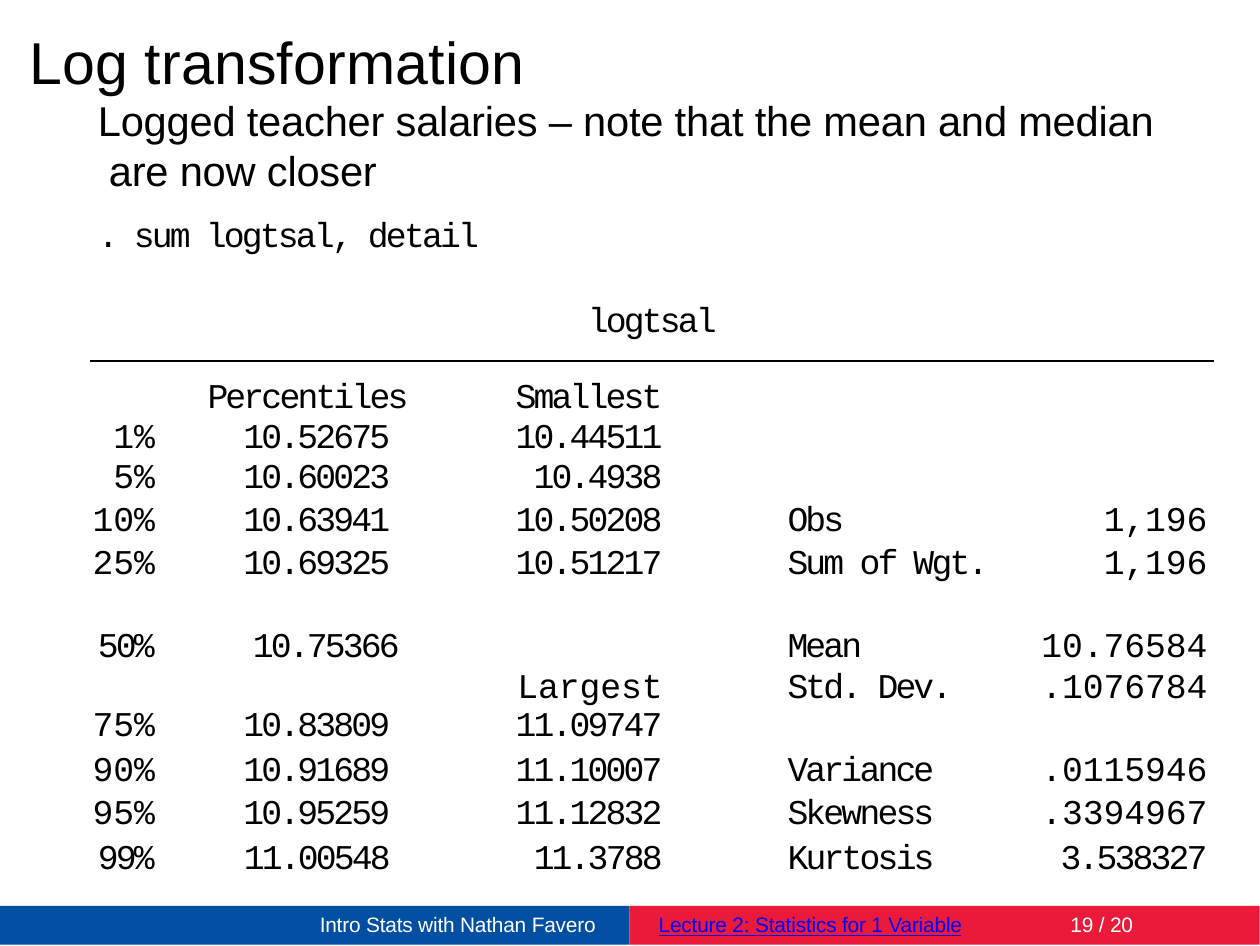
from dataclasses import dataclass
from typing import Any

from lxml.etree import SubElement
from pptx import Presentation
from pptx.dml.color import RGBColor
from pptx.enum.shapes import MSO_SHAPE
from pptx.enum.text import MSO_ANCHOR, MSO_AUTO_SIZE, PP_ALIGN
from pptx.oxml import parse_xml
from pptx.oxml.ns import nsdecls, qn
from pptx.util import Emu, Pt

EMU_PER_PX = 914400 / 250
PAGE_SIZE = {"slide_width": Pt(363), "slide_height": Pt(272.5)}
SANS, MONO = "Arial", "Courier New"
BLACK, WHITE, LINK = "000000", "FFFFFF", "0000FF"
BLUE, RED = "004FA2", "EC1A3A"
NO_TABLE_STYLE = "{2D5ABB26-0587-4C30-8999-92F81FD0307C}"


@dataclass(frozen=True)
class Style:
    size: float = 10
    font: str = MONO
    color: str = BLACK
    tracking: float = -0.8
    align: Any = PP_ALIGN.LEFT
    left: int = 0
    right: int = 0
    hanging: int | None = None
    before: float = 0
    underline: bool = False


@dataclass(frozen=True)
class Row:
    height: int
    leading: float
    texts: tuple[str, ...]
    merged: tuple[int, int] | None = None
    inset: int = 0
    before: float = 0


@dataclass(frozen=True)
class Label:
    text: str
    x: int
    y: int
    width: int
    height: int
    inset: int
    style: Style


@dataclass(frozen=True)
class Bar:
    x: int
    color: str


def px(value: float) -> Emu:
    return Emu(round(value * EMU_PER_PX))


def rgb(code: str) -> RGBColor:
    return RGBColor.from_string(code)


def apply(target: Any, values: dict[str, Any]) -> None:
    for name, value in values.items():
        setattr(target, name, value)


def write(para: Any, text: str, style: Style, before: float | None = None) -> None:
    apply(para, {"alignment": style.align,
                 "space_before": Pt(style.before if before is None else before)})
    margins = para._p.get_or_add_pPr()
    for name, value in {"marL": style.left, "marR": style.right}.items():
        if value:
            margins.set(name, str(px(value)))
    if style.hanging is not None:
        margins.set("indent", str(px(-style.hanging)))
    span = para.add_run()
    span.text = text
    apply(span.font, {"size": Pt(style.size), "name": style.font, "bold": False,
                      "underline": style.underline})
    span.font.color.rgb = rgb(style.color)
    span._r.get_or_add_rPr().set("spc", str(round(style.tracking * 100)))


def prepare(box: Any, place: tuple[int, int, int, int], inset: int) -> Any:
    apply(box, dict(zip(("left", "top", "width", "height"), map(px, place))))
    frame = box.text_frame
    apply(frame, {"margin_left": 0, "margin_top": px(inset), "margin_right": 0,
                  "margin_bottom": 0, "word_wrap": True,
                  "auto_size": MSO_AUTO_SIZE.NONE, "vertical_anchor": MSO_ANCHOR.TOP})
    return frame


# Title and body text
TITLE = Style(17, SANS, tracking=0.05, left=4, before=1.2)
BODY = (
    ("Logged teacher salaries – note that the mean and median are now closer",
     Style(12, SANS, tracking=-0.05, left=14, hanging=11, before=0.9)),
    (". sum logtsal, detail", Style(left=3, hanging=0, before=5.1)),
    ("logtsal", Style(align=PP_ALIGN.CENTER, left=45, hanging=0, before=12.6)),
)

# Summary table
COLUMN_WIDTHS = (90, 335, 210, 300, 190)
COLUMN_STYLES = (
    Style(align=PP_ALIGN.RIGHT, right=25, tracking=0),
    Style(align=PP_ALIGN.CENTER, right=61),
    Style(left=1),
    Style(left=63),
    Style(align=PP_ALIGN.RIGHT, right=7, tracking=0),
)
SPECIAL_STYLES = {
    "Percentiles": Style(align=PP_ALIGN.CENTER, right=79),
    "10.4938": Style(left=19),
    "50%\t10.75366": Style(left=8),
    "Largest": Style(align=PP_ALIGN.RIGHT, right=62, tracking=0),
}
ROWS = (
    Row(60, 11.5, ("", "Percentiles", "Smallest"), (2, 4), 18, 5),
    Row(42, 10.9, ("1%", "10.52675", "10.44511"), (2, 4)),
    Row(39, 10.3, ("5%", "10.60023", "10.4938"), (2, 4)),
    Row(44, 11.5, ("10%", "10.63941", "10.50208", "Obs", "1,196")),
    Row(44, 11.4, ("25%", "10.69325", "10.51217", "Sum of Wgt.", "1,196")),
    Row(80, 11.5, ("50%\t10.75366", "", "", "Mean", "10.76584"), (0, 2), 38, 10.8),
    Row(44, 11.4, ("Largest", "", "", "Std. Dev.", ".1076784"), (0, 2)),
    Row(38, 9.7, ("75%", "10.83809", "11.09747")),
    Row(44, 11.5, ("90%", "10.91689", "11.10007", "Variance", ".0115946")),
    Row(43, 11.4, ("95%", "10.95259", "11.12832", "Skewness", ".3394967")),
)

# Last line of statistics, and the footer
LAST = Style(left=3, before=1.1)
FOOT = Style(6, SANS, WHITE, -0.05, left=3, before=0.4)
FOOT_LINK = Style(6, SANS, LINK, -0.05, left=3, before=0.4, underline=True)
BARS = (Bar(0, BLUE), Bar(630, RED))
LABELS = tuple(
    Label(text, x, 830, 154, 52, 5, LAST)
    for text, x in (("99%", 95), ("11.00548", 241), ("11.3788", 531),
                    ("Kurtosis", 785), ("3.538327", 1058))
) + tuple(
    Label(text, x, 909, width, 30, 3, style)
    for text, x, width, style in (
        ("Intro Stats with Nathan Favero", 317, 300, FOOT),
        ("Lecture 2: Statistics for 1 Variable", 656, 330, FOOT_LINK),
        ("19 / 20", 1068, 90, FOOT))
)


def fill_cell(cell: Any, row: Row, column: int) -> None:
    apply(cell, {"margin_left": 0, "margin_top": px(row.inset), "margin_right": 0,
                 "margin_bottom": 0, "vertical_anchor": MSO_ANCHOR.TOP})
    cell.fill.background()
    para = cell.text_frame.paragraphs[0]
    para.line_spacing = Pt(row.leading)
    text = row.texts[column] if column < len(row.texts) else ""
    if not text:
        SubElement(para._p, qn("a:endParaRPr")).set("sz", "800")
        return
    write(para, text, SPECIAL_STYLES.get(text, COLUMN_STYLES[column]), row.before)
    if "\t" in text:
        stops = SubElement(para._p.get_or_add_pPr(), qn("a:tabLst"))
        SubElement(stops, qn("a:tab"), pos=str(px(155)), algn="l")


def draw_table(page: Any) -> None:
    frame = page.shapes.add_table(len(ROWS), len(COLUMN_WIDTHS), px(90), px(361),
                                  px(sum(COLUMN_WIDTHS)), px(sum(r.height for r in ROWS)))
    table = frame.table
    apply(table, {"first_row": False, "horz_banding": False})
    table._tbl.tblPr.find(qn("a:tableStyleId")).text = NO_TABLE_STYLE
    for column, width in zip(table.columns, COLUMN_WIDTHS):
        column.width = px(width)
    for index, row in enumerate(ROWS):
        table.rows[index].height = px(row.height)
        for column in range(len(COLUMN_WIDTHS)):
            fill_cell(table.cell(index, column), row, column)
        if row.merged:
            first, last = row.merged
            table.cell(index, first).merge(table.cell(index, last))
    # Rule above the heading row
    for cell in table.rows[0].cells:
        cell._tc.get_or_add_tcPr().insert(0, parse_xml(
            f'<a:lnT {nsdecls("a")} w="{Pt(0.75)}"><a:solidFill>'
            f'<a:srgbClr val="{BLACK}"/></a:solidFill></a:lnT>'))


def draw_bar(page: Any, bar: Bar) -> None:
    shape = page.shapes.add_shape(MSO_SHAPE.RECTANGLE, px(bar.x), px(906), px(630), px(39))
    shape.shadow.inherit = False
    shape.fill.solid()
    shape.fill.fore_color.rgb = rgb(bar.color)
    shape.line.fill.background()


def main() -> None:
    deck = Presentation()
    apply(deck, PAGE_SIZE)
    page = deck.slides.add_slide(deck.slide_layouts[1])
    title, body = page.placeholders

    frame = prepare(title, (25, 20, 505, 80), 5)
    write(frame.paragraphs[0], "Log transformation", TITLE)

    frame = prepare(body, (95, 92, 1070, 250), 3)
    for index, (text, style) in enumerate(BODY):
        para = frame.add_paragraph() if index else frame.paragraphs[0]
        write(para, text, style)
        SubElement(para._p.get_or_add_pPr(), qn("a:buNone"))

    draw_table(page)
    for bar in BARS:
        draw_bar(page, bar)
    for label in LABELS:
        box = page.shapes.add_textbox(0, 0, 0, 0)
        frame = prepare(box, (label.x, label.y, label.width, label.height), label.inset)
        write(frame.paragraphs[0], label.text, label.style)
    deck.save("out.pptx")


if __name__ == "__main__":
    main()
